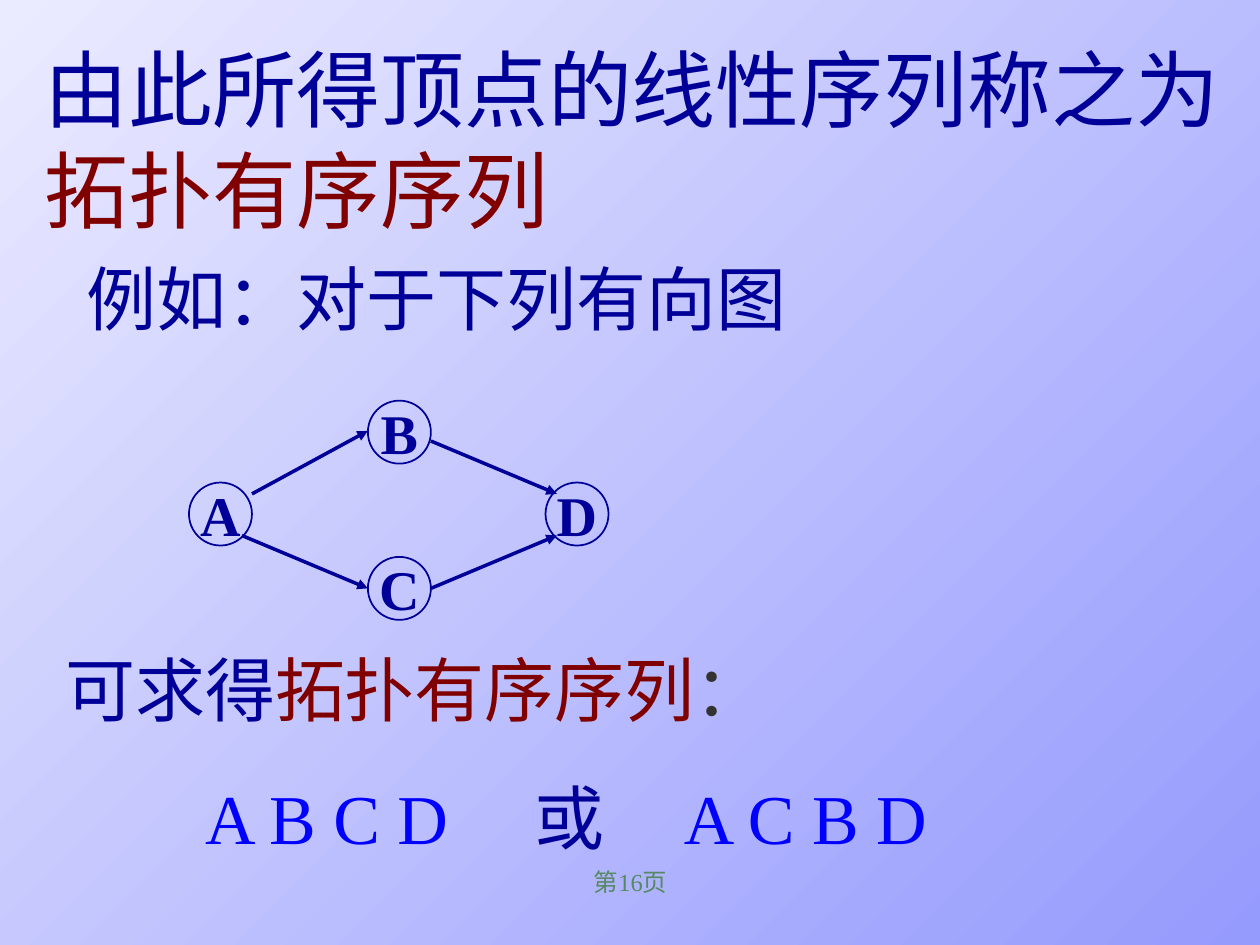
from lxml import etree
from pptx import Presentation
from pptx.dml.color import RGBColor
from pptx.enum.shapes import MSO_CONNECTOR, MSO_SHAPE
from pptx.enum.text import MSO_ANCHOR, MSO_AUTO_SIZE, PP_ALIGN
from pptx.oxml.ns import qn
from pptx.util import Inches, Pt

NAVY, MAROON, BLUE, GREY, GREEN = "000099", "800000", "0000FF", "333333", "578963"
FONT = "Times New Roman"


def color(value):
    return RGBColor.from_string(value)


def add_spans(para, size, spans, bold=False):
    for text, shade in spans:
        span = para.add_run()
        span.text = text
        span.font.name = FONT
        span.font.size = Pt(size)
        span.font.bold = bold
        span.font.color.rgb = color(shade)


deck = Presentation()
deck.slide_width, deck.slide_height = Inches(10), Inches(7.5)
page = deck.slides.add_slide(deck.slide_layouts[5])

backdrop = page.background.fill
backdrop.gradient()
backdrop.gradient_angle = 315
for stop, position, shade in zip(backdrop.gradient_stops, (0, 1), ("EBEBFF", "959AFD")):
    stop.position = position
    stop.color.rgb = color(shade)

title = page.shapes.title
title.left, title.top = Inches(0.25), Inches(0.25)
title.width, title.height = Inches(9.75), Inches(1.7)
title.text_frame.word_wrap = True
title.text_frame.auto_size = MSO_AUTO_SIZE.NONE
title.text_frame.vertical_anchor = MSO_ANCHOR.TOP
heading = title.text_frame.paragraphs[0]
heading.alignment = PP_ALIGN.LEFT
add_spans(heading, 48, [("由此所得顶点的线性序列称之为", NAVY), ("拓扑有序序列", MAROON)])

example = page.shapes.add_textbox(Inches(0.59), Inches(1.98), Inches(5.75), Inches(0.77))
add_spans(example.text_frame.paragraphs[0], 40, [("例如：对于下列有向图", NAVY)])

nodes = {"A": (1.5, 3.83), "B": (2.92, 3.18), "C": (2.92, 4.42), "D": (4.33, 3.83)}
for name, (left, top) in nodes.items():
    node = page.shapes.add_shape(
        MSO_SHAPE.OVAL, Inches(left), Inches(top), Inches(0.5), Inches(0.5))
    node.shadow.inherit = False
    node.fill.background()
    node.line.color.rgb = color(NAVY)
    node.line.width = Pt(1)
    node.text_frame.word_wrap = False
    node.text_frame.vertical_anchor = MSO_ANCHOR.MIDDLE
    label = node.text_frame.paragraphs[0]
    label.alignment = PP_ALIGN.CENTER
    add_spans(label, 32, [(name, NAVY)], bold=True)

edges = [
    (2, 3.92, 2.92, 3.42),
    (1.92, 4.25, 2.92, 4.67),
    (3.42, 3.5, 4.42, 3.92),
    (3.42, 4.67, 4.42, 4.25),
]
for ends in edges:
    edge = page.shapes.add_connector(MSO_CONNECTOR.STRAIGHT, *map(Inches, ends))
    edge.line.color.rgb = color(NAVY)
    edge.line.width = Pt(2)
    etree.SubElement(edge.line._get_or_add_ln(), qn("a:tailEnd"), type="triangle")
    etree.SubElement(edge._element.spPr, qn("a:effectLst"))

result = page.shapes.add_textbox(Inches(0.42), Inches(5.08), Inches(9), Inches(1.78))
result.text_frame.word_wrap = True
add_spans(result.text_frame.paragraphs[0], 40,
          [("可求得", NAVY), ("拓扑有序序列", MAROON), ("：", GREY)])
orders = result.text_frame.add_paragraph()
tabs = etree.SubElement(orders._p.get_or_add_pPr(), qn("a:tabLst"))
for position in (1.11, 3.72, 4.91):
    etree.SubElement(tabs, qn("a:tab"), pos=str(Inches(position)), algn="l")
orders.space_before = Pt(25)
add_spans(orders, 40, [("\tA B C D", BLUE), ("\t或", NAVY), ("\tA C B D", BLUE)])

footer = page.shapes.add_textbox(Inches(3.42), Inches(6.83), Inches(3.17), Inches(0.5))
footer.text_frame.word_wrap = True
number = footer.text_frame.paragraphs[0]
number.alignment = PP_ALIGN.CENTER
add_spans(number, 14, [("第16页", GREEN)])

deck.save("out.pptx")
